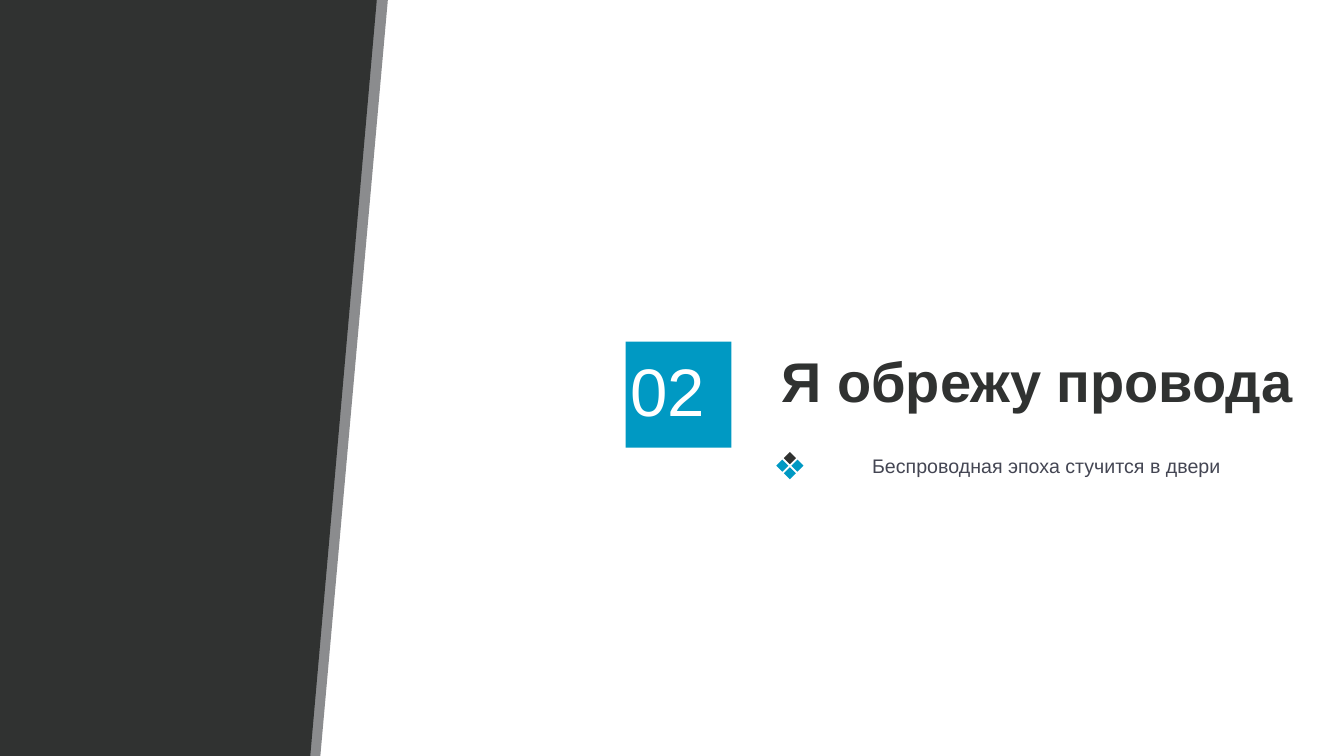
"""Build the section divider slide "Я обрежу провода"."""
from pptx import Presentation
from pptx.dml.color import RGBColor
from pptx.enum.shapes import MSO_SHAPE
from pptx.enum.text import MSO_ANCHOR, PP_ALIGN
from pptx.util import Inches, Pt

RECT, ROUND, DIAMOND = MSO_SHAPE.RECTANGLE, MSO_SHAPE.ROUNDED_RECTANGLE, MSO_SHAPE.DIAMOND
TOP, LEFT = MSO_ANCHOR.TOP, PP_ALIGN.LEFT
DARK = RGBColor(0x30, 0x32, 0x31)
GRAY = RGBColor(0x8B, 0x8C, 0x8E)
BLUE = RGBColor(0x00, 0x99, 0xC3)
SLATE = RGBColor(0x44, 0x46, 0x53)
WHITE = RGBColor(0xFF, 0xFF, 0xFF)

WIDTH, HEIGHT = 13.34, 7.5
TITLE = ("Я обрежу провода", (7.66, 3.39, 5.27, 0.77), dict(size=Pt(40), bold=True), DARK)
SUBTITLE = ("Беспроводная эпоха стучится в двери", (8.54, 4.44, 3.73, 0.37),
            dict(size=Pt(14), bold=False), SLATE)
NUMBER = ("02", (6.16, 3.42, 1.31, 0.9), dict(size=Pt(48), bold=False), WHITE)
NUMBER_TILE = (6.21, 3.39, 1.05, 1.05)
PANELS = [(0.11, 3.85, 3.18, GRAY), (0, 3.74, 3.08, DARK)]
ICON_CENTER, ICON_STEP, DIAMOND_SIZE = (7.84, 4.62), 0.075, 0.12
ICON_PARTS = [(0, 1, BLUE), (1, 0, BLUE), (-1, 0, BLUE), (0, -1, DARK)]


def paint(sp, color):
    sp.shadow.inherit = False
    sp.line.fill.background()
    sp.fill.solid()
    sp.fill.fore_color.rgb = color


def add_filled(s, kind, box, color):
    paint(s.shapes.add_shape(kind, *map(Inches, box)), color)


def add_panel(s, left, top_right, bottom_right, color):
    builder = s.shapes.build_freeform(Inches(left), 0)
    corners = [(top_right, 0), (bottom_right, HEIGHT), (left, HEIGHT)]
    builder.add_line_segments([(Inches(x), Inches(y)) for x, y in corners], close=True)
    paint(builder.convert_to_shape(), color)


def write(sp, text, style, color, wrap):
    tf = sp.text_frame
    tf.word_wrap = wrap
    tf.vertical_anchor = TOP
    p = tf.paragraphs[0]
    p.alignment = LEFT
    r = p.add_run()
    r.text = text
    for name, value in dict(style, name="Arial").items():
        setattr(r.font, name, value)
    r.font.color.rgb = color


def add_text(s, text, box, style, color, wrap=False):
    write(s.shapes.add_textbox(*map(Inches, box)), text, style, color, wrap)


def add_subtitle(s, text, box, style, color):
    sp = s.shapes.add_shape(ROUND, *map(Inches, box))
    sp.shadow.inherit = False
    sp.fill.background()
    sp.line.fill.background()
    write(sp, text, style, color, False)


def main():
    prs = Presentation()
    prs.slide_width, prs.slide_height = Inches(WIDTH), Inches(HEIGHT)
    s = prs.slides.add_slide(prs.slide_layouts[6])
    add_text(s, *TITLE)
    add_subtitle(s, *SUBTITLE)
    for dx, dy, color in ICON_PARTS:
        x, y = (c + d * ICON_STEP - DIAMOND_SIZE / 2 for c, d in zip(ICON_CENTER, (dx, dy)))
        add_filled(s, DIAMOND, (x, y, DIAMOND_SIZE, DIAMOND_SIZE), color)
    for panel in PANELS:
        add_panel(s, *panel)
    add_filled(s, RECT, NUMBER_TILE, BLUE)
    add_text(s, *NUMBER, wrap=True)
    prs.save("out.pptx")


if __name__ == "__main__":
    main()
